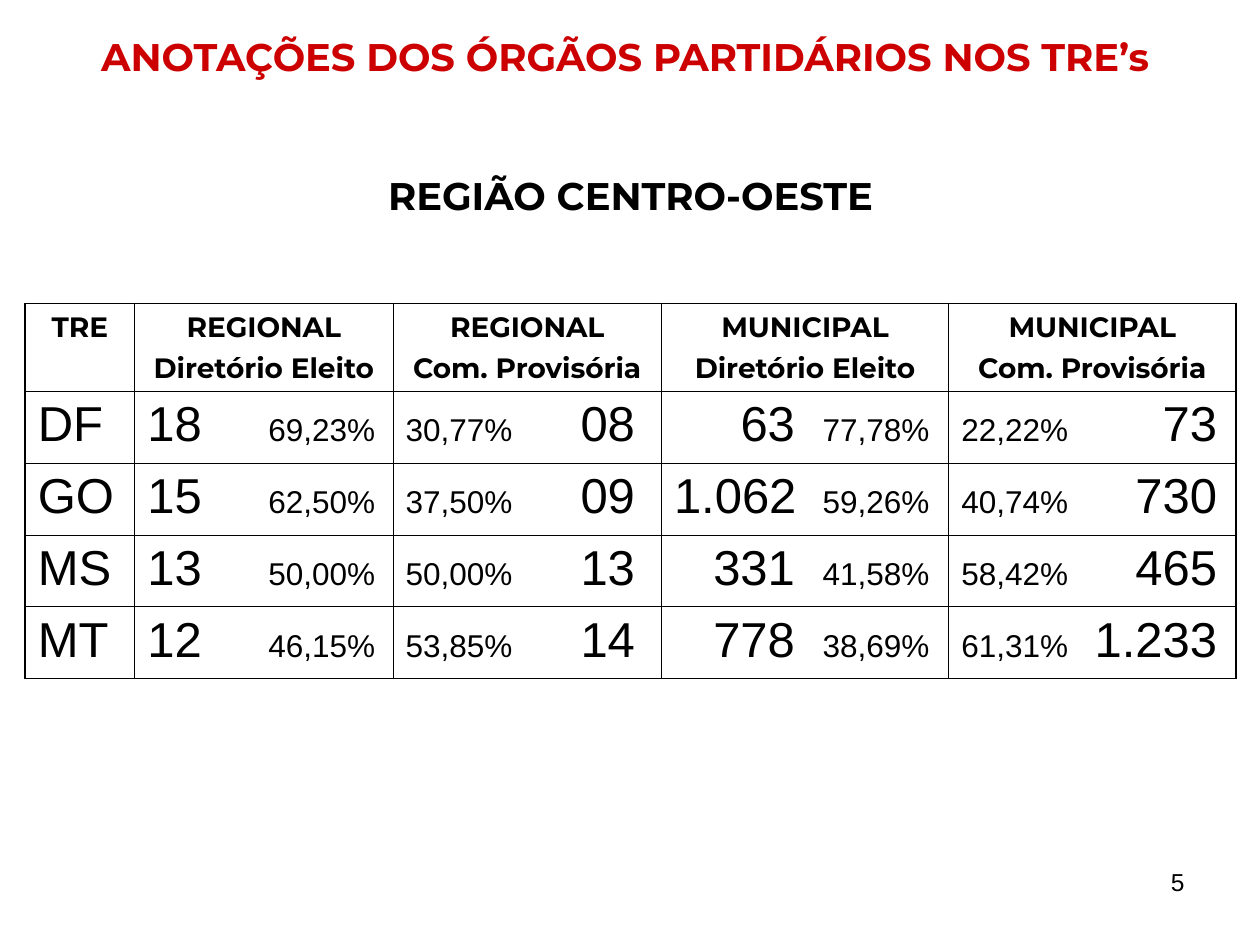
from lxml import etree
from pptx import Presentation
from pptx import util as u
from pptx.dml.color import RGBColor
from pptx.enum import text
from pptx.oxml import ns

COLUMN_WIDTHS = [0.87, 2.05, 2.13, 2.28, 2.28]
ROW_HEIGHTS = [0.69] + [0.57] * 4
HEADERS = [
    ["TRE"],
    ["REGIONAL", "Diretório Eleito"],
    ["REGIONAL", "Com. Provisória"],
    ["MUNICIPAL", "Diretório Eleito"],
    ["MUNICIPAL", "Com. Provisória"],
]
RESULTS = [
    ("DF", "18", "69,23%", "30,77%", "08", "63", "77,78%", "22,22%", "73"),
    ("GO", "15", "62,50%", "37,50%", "09", "1.062", "59,26%", "40,74%", "730"),
    ("MS", "13", "50,00%", "50,00%", "13", "331", "41,58%", "58,42%", "465"),
    ("MT", "12", "46,15%", "53,85%", "14", "778", "38,69%", "61,31%", "1.233"),
]
TAB_STOPS = [[], [(0.96, "l")], [(1.82, "r")], [(0.96, "r"), (1.18, "l")], [(2.03, "r")]]


def color(value):
    return RGBColor.from_string(value)


class Sheet:
    heading_font = "Montserrat"
    number_font = "Arial"
    black = "000000"
    red = "CC0000"
    big, small = 28, 18
    thin, thick = 0.45, 1.08

    def __init__(self, deck):
        self.page = deck.slides.add_slide(deck.slide_layouts[5])

    def style(self, para, font, size, shade, bold=False, align=text.PP_ALIGN.LEFT):
        para.alignment = align
        para.font.name = font
        para.font.size = u.Pt(size)
        para.font.bold = bold
        para.font.color.rgb = color(shade)

    def title(self, heading, region):
        box = self.page.shapes.title
        box.left, box.top = u.Inches(0.2), u.Inches(0.21)
        box.width, box.height = u.Inches(9.61), u.Inches(5.23)
        frame = box.text_frame
        frame.auto_size = text.MSO_AUTO_SIZE.NONE
        frame.vertical_anchor = text.MSO_ANCHOR.TOP
        frame.text = f"{heading}\n{region}"
        for para, shade in zip(frame.paragraphs, (self.red, self.black)):
            self.style(para, self.heading_font, 22, shade, True, text.PP_ALIGN.CENTER)
        frame.paragraphs[1].space_before = u.Pt(53)

    def number(self, value):
        box = self.page.shapes.add_textbox(
            u.Inches(7.17), u.Inches(6.83), u.Inches(2.33), u.Inches(0.52))
        box.text_frame.word_wrap = True
        box.text_frame.text = value
        self.style(box.text_frame.paragraphs[0], self.number_font, 14, self.black,
                   align=text.PP_ALIGN.RIGHT)

    def borders(self, cell, outer):
        properties = cell._tc.get_or_add_tcPr()
        for side in "LRTB":
            width = self.thick if side in outer else self.thin
            line = etree.SubElement(properties, ns.qn(f"a:ln{side}"), w=str(u.Pt(width)))
            fill = etree.SubElement(line, ns.qn("a:solidFill"))
            etree.SubElement(fill, ns.qn("a:srgbClr"), val=self.black)
        cell.fill.background()

    def header(self, cell, lines):
        cell.text = "\n".join(lines)
        for para in cell.text_frame.paragraphs:
            para.space_before = u.Pt(4)
            self.style(para, self.heading_font, 16, self.black, True, text.PP_ALIGN.CENTER)

    def result(self, cell, spans, stops):
        para = cell.text_frame.paragraphs[0]
        para.space_before = u.Pt(4.5 if len(spans) > 1 and spans[0][1] == self.big else 7)
        if stops:
            tabs = etree.SubElement(para._p.get_or_add_pPr(), ns.qn("a:tabLst"))
            for position, align in stops:
                etree.SubElement(tabs, ns.qn("a:tab"), pos=str(u.Inches(position)), algn=align)
        self.style(para, self.number_font, self.big, self.black)
        for words, size in spans:
            span = para.add_run()
            span.text = words
            span.font.size = u.Pt(size)

    def table(self):
        table = self.page.shapes.add_table(
            len(ROW_HEIGHTS), len(COLUMN_WIDTHS), u.Inches(0.2), u.Inches(2.41),
            u.Inches(sum(COLUMN_WIDTHS)), u.Inches(sum(ROW_HEIGHTS))).table
        table.first_row = table.horz_banding = False
        for column, width in zip(table.columns, COLUMN_WIDTHS):
            column.width = u.Inches(width)
        for row, height in zip(table.rows, ROW_HEIGHTS):
            row.height = u.Inches(height)

        for column, lines in enumerate(HEADERS):
            self.header(table.cell(0, column), lines)
        big, small = self.big, self.small
        for row, values in enumerate(RESULTS, 1):
            state, elected, share1, share2, interim, local, share3, share4, local_interim = values
            cells = [
                [(state, big)],
                [(f"{elected}\t", big), (share1, small)],
                [(share2, small), (f"\t{interim}", big)],
                [(f"\t{local}\t", big), (share3, small)],
                [(share4, small), (f"\t{local_interim}", big)],
            ]
            for column, spans in enumerate(cells):
                self.result(table.cell(row, column), spans, TAB_STOPS[column])

        last_row, last_column = len(ROW_HEIGHTS) - 1, len(COLUMN_WIDTHS) - 1
        for row in range(last_row + 1):
            for column in range(last_column + 1):
                edges = {"L": column == 0, "R": column == last_column,
                         "T": row == 0, "B": row == last_row}
                self.borders(table.cell(row, column), [side for side in edges if edges[side]])


def main():
    deck = Presentation()
    deck.slide_width, deck.slide_height = u.Inches(10), u.Inches(7.5)
    sheet = Sheet(deck)
    sheet.title("ANOTAÇÕES DOS ÓRGÃOS PARTIDÁRIOS NOS TRE’s ", "REGIÃO CENTRO-OESTE")
    sheet.table()
    sheet.number("5")
    deck.save("out.pptx")


if __name__ == "__main__":
    main()
